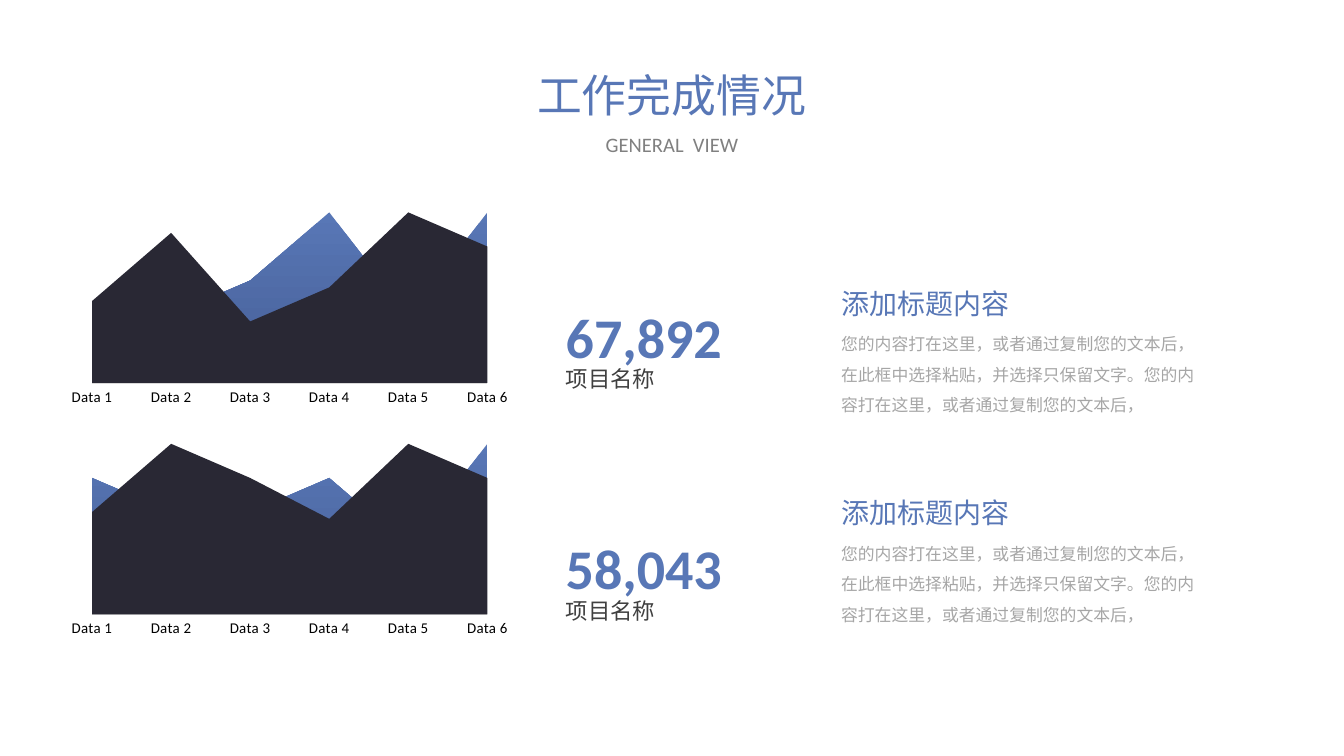
"""Build the work completion slide: two area charts with key figures and notes."""
from lxml import etree
from pptx import Presentation
from pptx.chart.data import CategoryChartData
from pptx.dml.color import RGBColor
from pptx.enum.chart import XL_CHART_TYPE as ChartType, XL_TICK_MARK as TickMark
from pptx.enum.text import MSO_ANCHOR as Anchor, PP_ALIGN as Align
from pptx.oxml import parse_xml
from pptx.oxml.ns import nsdecls, qn
from pptx.util import Pt

BLUE = RGBColor(0x58, 0x77, 0xB6)
DEEP_BLUE = RGBColor(0x46, 0x5E, 0x96)
NAVY = RGBColor(0x29, 0x28, 0x34)
BLACK = RGBColor(0, 0, 0)
DARK_GRAY = RGBColor(0x40, 0x40, 0x40)
GRAY = RGBColor(0x80, 0x80, 0x80)
MID_GRAY = RGBColor(0xA6, 0xA6, 0xA6)
LIGHT_GRAY = RGBColor(0xD9, 0xD9, 0xD9)
FONT = "Calibri"
BODY = "您的内容打在这里，或者通过复制您的文本后，在此框中选择粘贴，并选择只保留文字。您的内容打在这里，或者通过复制您的文本后，"
PLOT_AREA = {"x": 0.063, "y": 0.02, "w": 0.87, "h": 0.86}


def write(frame, text, size, color, spacing=1.0, align=Align.LEFT, bold=False):
    frame.word_wrap = True
    frame.vertical_anchor = Anchor.TOP
    paragraph = frame.paragraphs[0]
    paragraph.text = text
    paragraph.alignment = align
    paragraph.line_spacing = spacing
    paragraph.font.name = FONT
    paragraph.font.size = Pt(size)
    paragraph.font.bold = bold
    paragraph.font.color.rgb = color


def add_text(left, top, width, height, *content, **style):
    box = slide.shapes.add_textbox(Pt(left), Pt(top), Pt(width), Pt(height))
    write(box.text_frame, *content, **style)


prs = Presentation()
prs.slide_width, prs.slide_height = Pt(720), Pt(405)
slide = prs.slides.add_slide(prs.slide_layouts[5])

title = slide.shapes.title
title.left, title.top, title.width, title.height = Pt(266.5), Pt(32.5), Pt(186.5), Pt(36)
write(title.text_frame, "工作完成情况", 24, BLUE, align=Align.CENTER)
add_text(287, 67, 146, 21, "GENERAL  VIEW", 11, GRAY, align=Align.CENTER)

projects = [
    ("67,892", (48, 88, 36, 56, 100, 80), (40, 40, 60, 100, 40, 100)),
    ("58,043", (60, 100, 80, 56, 100, 80), (80, 60, 60, 80, 40, 100)),
]
for row, (total, front_values, back_values) in enumerate(projects):
    chart_shift = row * 124
    note_shift = row * 112.4

    data = CategoryChartData()
    data.categories = [f"Data {number}" for number in range(1, 7)]
    data.add_series("Series 1", front_values)
    data.add_series("Series 2", back_values)
    chart = slide.shapes.add_chart(
        ChartType.AREA, Pt(34), Pt(93 + chart_shift), Pt(243.5), Pt(127.5), data
    ).chart
    chart.has_legend = False
    chart.has_title = False
    chart.font.name = FONT
    chart.font.size = Pt(8)
    chart.font.color.rgb = BLACK
    chart.plots[0].vary_by_categories = False

    category_axis = chart.category_axis
    category_axis.has_major_gridlines = False
    category_axis.major_tick_mark = TickMark.NONE
    category_axis.format.line.color.rgb = LIGHT_GRAY
    category_axis.format.line.width = Pt(0.75)
    value_axis = chart.value_axis
    value_axis.minimum_scale, value_axis.maximum_scale = 0, 120
    value_axis.has_major_gridlines = False
    value_axis.visible = False

    front, back = chart.plots[0].series
    front.format.fill.solid()
    front.format.fill.fore_color.rgb = NAVY
    back.format.fill.gradient()
    back.format.fill.gradient_angle = 270
    for stop, color in zip(back.format.fill.gradient_stops, (BLUE, DEEP_BLUE)):
        stop.color.rgb = color

    plot_area = next(chart.element.iter(qn("c:plotArea")))
    for automatic in plot_area.findall(qn("c:layout")):
        plot_area.remove(automatic)
    layout = parse_xml(f"<c:layout {nsdecls('c')}><c:manualLayout/></c:layout>")
    settings = {"layoutTarget": "inner", "xMode": "edge", "yMode": "edge", **PLOT_AREA}
    for name, value in settings.items():
        etree.SubElement(layout[0], qn(f"c:{name}")).set("val", str(value))
    plot_area.insert(0, layout)
    for crossing in plot_area.iter(qn("c:crossBetween")):
        crossing.set("val", "midCat")

    add_text(296, 151.2 + chart_shift, 131, 47.5, total, 30, BLUE, spacing=1.2, bold=True)
    add_text(296, 189.4 + chart_shift, 181.5, 23, "项目名称", 12, DARK_GRAY, spacing=1.2)
    add_text(443.5, 146.2 + note_shift, 183.5, 27.5, "添加标题内容", 15, BLUE, spacing=1.2)
    add_text(443.5, 170 + note_shift, 206, 56, BODY, 9, MID_GRAY, spacing=1.5)

prs.save("out.pptx")
